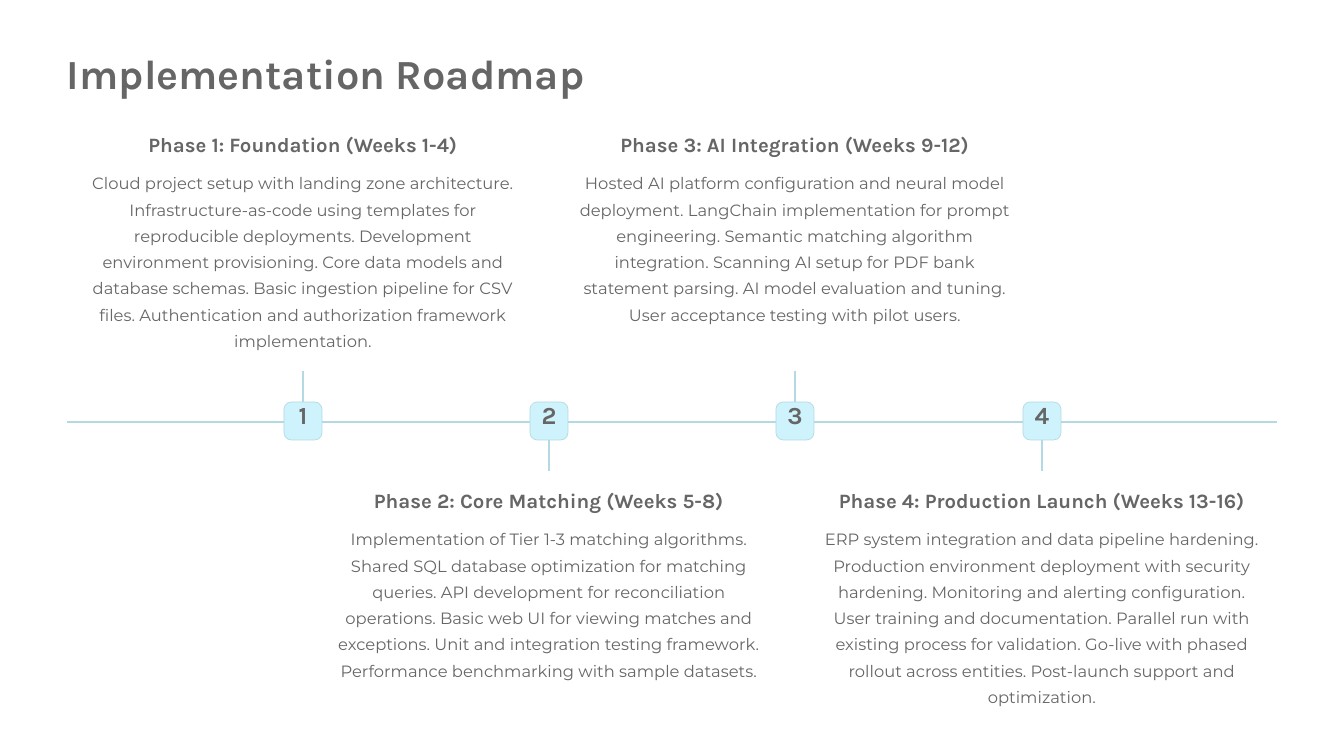
from pptx import Presentation, util as u
from pptx.dml.color import RGBColor
from pptx.enum import shapes, text
from lxml import etree

PX = 914400 // 84
A = "http://schemas.openxmlformats.org/drawingml/2006/main"
COLORS = {"bg": "FFFFFF", "ink": "666666", "line": "B4D9E3", "badge": "CEF3FD"}
C = {name: RGBColor.from_string(value) for name, value in COLORS.items()}

PHASES = [
    ("Phase 1: Foundation (Weeks 1-4)",
     "Cloud project setup with landing zone architecture. "
     "Infrastructure-as-code using templates for reproducible deployments. "
     "Development environment provisioning. Core data models and database schemas. "
     "Basic ingestion pipeline for CSV files. "
     "Authentication and authorization framework implementation."),
    ("Phase 2: Core Matching (Weeks 5-8)",
     "Implementation of Tier 1-3 matching algorithms. "
     "Shared SQL database optimization for matching queries. "
     "API development for reconciliation operations. "
     "Basic web UI for viewing matches and exceptions. "
     "Unit and integration testing framework. "
     "Performance benchmarking with sample datasets."),
    ("Phase 3: AI Integration (Weeks 9-12)",
     "Hosted AI platform configuration and neural model deployment. "
     "LangChain implementation for prompt engineering. "
     "Semantic matching algorithm integration. "
     "Scanning AI setup for PDF bank statement parsing. "
     "AI model evaluation and tuning. User acceptance testing with pilot users."),
    ("Phase 4: Production Launch (Weeks 13-16)",
     "ERP system integration and data pipeline hardening. "
     "Production environment deployment with security hardening. "
     "Monitoring and alerting configuration. User training and documentation. "
     "Parallel run with existing process for validation. "
     "Go-live with phased rollout across entities. "
     "Post-launch support and optimization."),
]

prs = Presentation()
prs.slide_width, prs.slide_height = u.Inches(16), u.Inches(9)
s = prs.slides.add_slide(prs.slide_layouts[6])
s.background.fill.solid()
s.background.fill.fore_color.rgb = C["bg"]


def write(sp, words, size, spacing, font="Karla", align="CENTER", top=0):
    tf = sp.text_frame
    tf.word_wrap = True
    tf.vertical_anchor = text.MSO_ANCHOR.TOP
    tf.margin_left = tf.margin_right = tf.margin_bottom = 0
    tf.margin_top = top * PX
    p = tf.paragraphs[0]
    p.alignment = getattr(text.PP_ALIGN, align)
    p.line_spacing = u.Pt(spacing)
    r = p.add_run()
    r.text = words
    r.font.name, r.font.size = font, u.Pt(size)
    r.font.bold = font == "Karla"
    r.font.color.rgb = C["ink"]


def add_line(x1, y1, x2, y2):
    line = s.shapes.add_connector(shapes.MSO_CONNECTOR.STRAIGHT,
                                  x1 * PX, y1 * PX, x2 * PX, y2 * PX)
    line.line.color.rgb = C["line"]
    line.line.width = u.Pt(2)
    etree.SubElement(line._element.spPr, f"{{{A}}}effectLst")
    return line


# Title, as wide as the axis
title = s.shapes.add_textbox(67 * PX, 46 * PX, 1210 * PX, 52 * PX)
write(title, "Implementation Roadmap", 35.5, 44.5, align="LEFT")

# Timeline axis
add_line(67, 422, 1277, 422)

# Phases, alternating above and below the axis
BADGE, BODY_W, STEM = 38, 438, 31
BADGE_TOP = 402
for i, (heading, body) in enumerate(PHASES):
    above = i % 2 == 0
    center = 303 + i * 739 // 3
    heading_top = 131 if above else 487

    # Numbered badge
    badge = s.shapes.add_shape(shapes.MSO_SHAPE.ROUNDED_RECTANGLE,
                               (center - BADGE // 2) * PX, BADGE_TOP * PX,
                               BADGE * PX, BADGE * PX)
    badge.adjustments[0] = 0.19
    badge.shadow.inherit = False
    badge.fill.solid()
    badge.fill.fore_color.rgb = C["badge"]
    badge.line.color.rgb = C["line"]
    badge.line.width = u.Pt(0.6)
    write(badge, str(i + 1), 21, 21, top=1)

    # Stem from the badge towards its text
    edge = BADGE_TOP if above else BADGE_TOP + BADGE
    stem = add_line(center, edge, center, edge - STEM if above else edge + STEM)
    stem.begin_connect(badge, 0 if above else 2)

    # Heading and description
    left = center - BODY_W // 2
    box = s.shapes.add_textbox(left * PX, heading_top * PX, BODY_W * PX, 26 * PX)
    write(box, heading, 17.5, 22)
    box = s.shapes.add_textbox(left * PX, (heading_top + 36) * PX, BODY_W * PX, 186 * PX)
    write(box, body, 14, 22.5, font="Montserrat")

prs.save("out.pptx")
